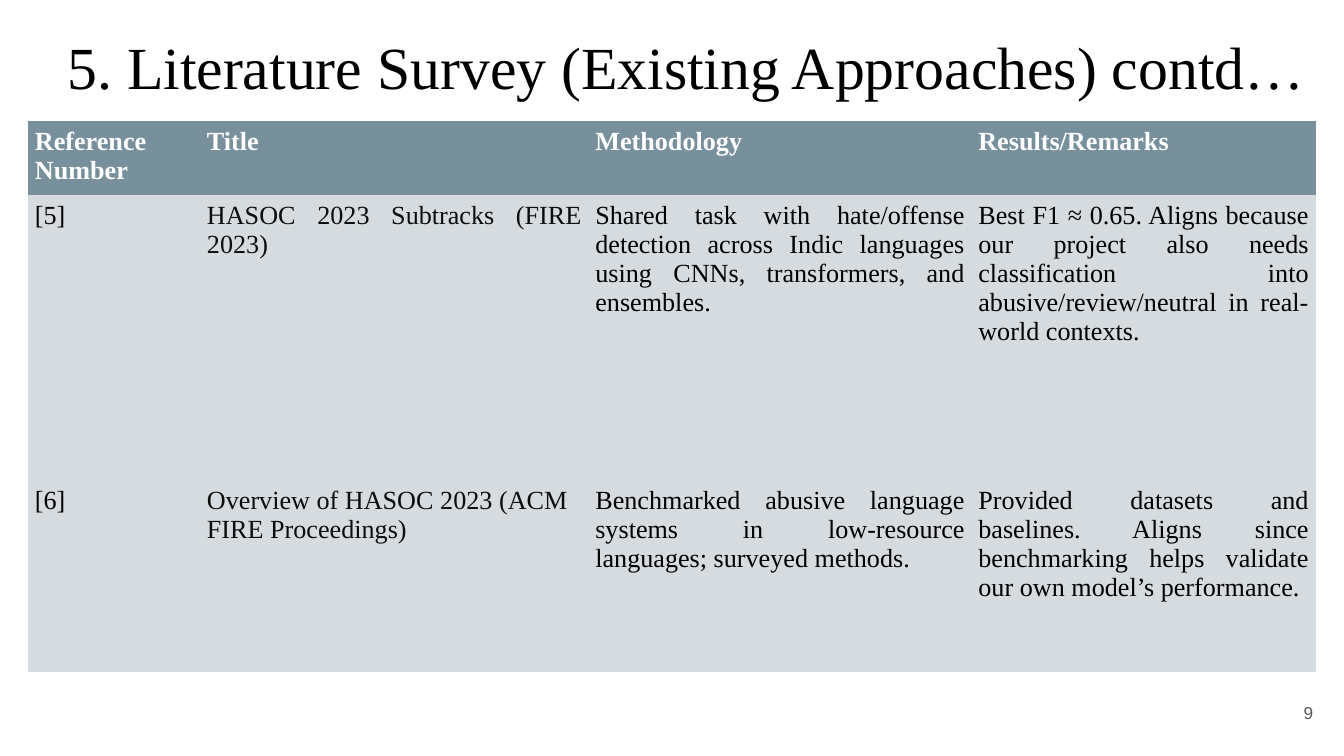
"""Build the literature survey slide with its table of references."""
from lxml import etree
from pptx import Presentation
from pptx.dml.color import RGBColor
from pptx.enum.text import MSO_ANCHOR, PP_ALIGN
from pptx.oxml.ns import qn
from pptx.util import Inches, Pt

LEFT, RIGHT, CENTER = PP_ALIGN.LEFT, PP_ALIGN.RIGHT, PP_ALIGN.CENTER
JUSTIFY = PP_ALIGN.JUSTIFY
TOP, MIDDLE = MSO_ANCHOR.TOP, MSO_ANCHOR.MIDDLE
SERIF = "Times New Roman"


def color(code):
    """Turn a hex string into a colour."""
    return RGBColor.from_string(code)


def write(frame, text, size=14, font=SERIF, ink="000000", bold=False,
          align=JUSTIFY, anchor=TOP, inset=0.05, spacing=None):
    """Fill a text frame with one formatted paragraph."""
    frame.word_wrap = True
    frame.vertical_anchor = anchor
    frame.margin_left = frame.margin_right = Inches(inset)
    frame.margin_top = frame.margin_bottom = Inches(inset)
    para = frame.paragraphs[0]
    para.alignment = align
    para.line_spacing = spacing
    run = para.add_run()
    run.text = text
    run.font.size = Pt(size)
    run.font.name = font
    run.font.bold = bold
    run.font.color.rgb = color(ink)


deck = Presentation()
deck.slide_width = Inches(10)
deck.slide_height = Inches(10 * 9 / 16)
slide = deck.slides.add_slide(deck.slide_layouts[6])
shapes = slide.shapes

rows = [
    ["Reference Number", "Title", "Methodology", "Results/Remarks"],
    ["[5]",
     "HASOC 2023 Subtracks (FIRE 2023)",
     "Shared task with hate/offense detection across Indic languages "
     "using CNNs, transformers, and ensembles.",
     "Best F1 ≈ 0.65. Aligns because our project also needs classification "
     "into abusive/review/neutral in real-world contexts."],
    ["[6]",
     "Overview of HASOC 2023 (ACM FIRE Proceedings)",
     "Benchmarked abusive language systems in low-resource languages; "
     "surveyed methods.",
     "Provided datasets and baselines. Aligns since benchmarking helps "
     "validate our own model’s performance."],
]
widths = [1.28, 2.89, 2.85, 2.56]
heights = [0.55, 2.12, 1.43]

table = shapes.add_table(len(rows), len(widths), Inches(0.21), Inches(0.9),
                         Inches(sum(widths)), Inches(sum(heights))).table
for col, width in zip(table.columns, widths):
    col.width = Inches(width)
for r, row in enumerate(rows):
    table.rows[r].height = Inches(heights[r])
    head = r == 0
    for c, text in enumerate(row):
        cell = table.cell(r, c)
        cell.margin_left = cell.margin_right = Inches(0.05)
        cell.margin_top = cell.margin_bottom = Inches(0.05)
        props = cell._tc.get_or_add_tcPr()
        for side in ("a:lnL", "a:lnR", "a:lnT", "a:lnB"):
            edge = etree.SubElement(props, qn(side))
            etree.SubElement(edge, qn("a:noFill"))
        cell.fill.solid()
        cell.fill.fore_color.rgb = color("78909C" if head else "D5DBDE")
        ink = "FFFFFF" if head else "0D0D0D" if c == 1 else "000000"
        write(cell.text_frame, text, ink=ink, bold=head,
              align=LEFT if (r, c) == (2, 1) else JUSTIFY)

page = shapes.add_textbox(Inches(9.5), Inches(5.14), Inches(0.37), Inches(0.35))
write(page.text_frame, "9", size=9.2, font="Arial", ink="585858",
      align=RIGHT, anchor=MIDDLE, inset=0.1, spacing=0.9)

title = shapes.add_textbox(Inches(0.4), Inches(0.17), Inches(9.42), Inches(0.64))
write(title.text_frame, "5. Literature Survey (Existing Approaches) contd…",
      size=32, align=CENTER)

deck.save("out.pptx")
